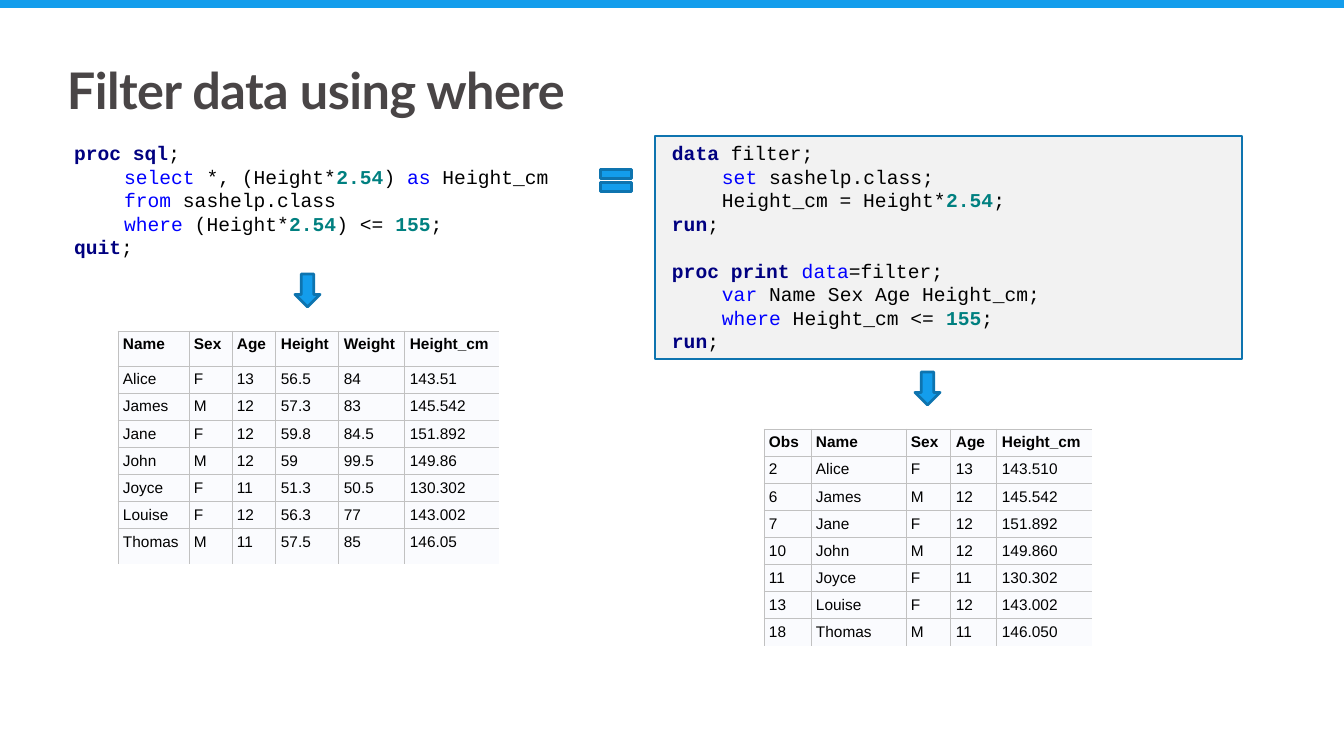
from dataclasses import dataclass

from lxml.etree import SubElement
from pptx import Presentation
from pptx.dml.color import RGBColor
from pptx.enum.shapes import MSO_SHAPE
from pptx.enum.text import MSO_ANCHOR, MSO_AUTO_SIZE
from pptx.oxml import parse_xml
from pptx.oxml.ns import nsdecls, qn
from pptx.util import Pt


@dataclass(frozen=True)
class Theme:
    accent: str = "139DEC"
    outline: str = "0E74AF"
    panel: str = "F2F2F2"
    heading: str = "494546"
    text: str = "000000"
    step: str = "000080"
    keyword: str = "0000FF"
    number: str = "008080"
    cell: str = "FAFBFE"
    grid: str = "C1C1C1"
    heading_font: str = "Lato"
    code_font: str = "Courier New"
    table_font: str = "Arial"
    heading_size: float = 36
    code_size: float = 14
    code_pitch: float = 16.8
    table_size: float = 11
    outline_width: float = 2
    grid_width: float = 0.75


def px(length):
    return round(length * 914400 / 100.8)


class SlideBuilder:
    def __init__(self, slide, theme):
        self.slide = slide
        self.theme = theme

    def add_run(self, paragraph, text, font, size, color, bold=False):
        run = paragraph.add_run()
        run.text = text
        run.font.name = font
        run.font.size = Pt(size)
        run.font.bold = bold
        run.font.color.rgb = RGBColor.from_string(color)
        return run

    def prepare_placeholder(self, index, left, top, width, height, anchor):
        holder = self.slide.placeholders[index]
        holder.left, holder.top, holder.width, holder.height = map(px, (left, top, width, height))
        frame = holder.text_frame
        frame.margin_left = frame.margin_right = frame.margin_top = frame.margin_bottom = 0
        frame.word_wrap = True
        frame.auto_size = MSO_AUTO_SIZE.NONE
        frame.vertical_anchor = anchor
        return frame

    def title(self, text, *box):
        t = self.theme
        paragraph = self.prepare_placeholder(0, *box, MSO_ANCHOR.MIDDLE).paragraphs[0]
        paragraph.alignment = 1
        run = self.add_run(paragraph, text, t.heading_font, t.heading_size, t.heading, True)
        run.font._element.set("spc", "-40")

    def code(self, index, lines, *box):
        """Each line is (indent level, blank lines before, runs of (role, text))."""
        t = self.theme
        frame = self.prepare_placeholder(index, *box, MSO_ANCHOR.TOP)
        for number, (level, gap, runs) in enumerate(lines):
            paragraph = frame.add_paragraph() if number else frame.paragraphs[0]
            paragraph.line_spacing = Pt(t.code_pitch)
            paragraph.space_before = Pt(gap * t.code_pitch)
            paragraph.space_after = Pt(0)
            properties = paragraph._p.get_or_add_pPr()
            properties.set("marL", str(px(50 * level)))
            properties.set("indent", "0")
            SubElement(properties, qn("a:buNone"))
            for role, text in runs:
                self.add_run(paragraph, text, t.code_font, t.code_size,
                             getattr(t, role), role in ("step", "number"))

    def shape(self, kind, left, top, width, height, fill, line=None, rotation=0, at_back=False):
        shape = self.slide.shapes.add_shape(kind, *map(px, (left, top, width, height)))
        shape.shadow.inherit = False
        shape.rotation = rotation
        shape.fill.solid()
        shape.fill.fore_color.rgb = RGBColor.from_string(fill)
        if line:
            shape.line.color.rgb = RGBColor.from_string(line)
            shape.line.width = Pt(self.theme.outline_width)
        else:
            shape.line.fill.background()
        if at_back:
            shape.element.getparent().insert(2, shape.element)

    def set_borders(self, cell, hidden):
        properties = cell._tc.get_or_add_tcPr()
        color = f'<a:solidFill><a:srgbClr val="{self.theme.grid}"/></a:solidFill>'
        for position, side in enumerate("LRTB"):
            paint = "<a:noFill/>" if side in hidden else color
            properties.insert(position, parse_xml(
                f'<a:ln{side} {nsdecls("a")} w="{Pt(self.theme.grid_width)}">{paint}</a:ln{side}>'))

    def table(self, rows, left, top, widths, heights):
        t = self.theme
        table = self.slide.shapes.add_table(
            len(rows), len(widths), px(left), px(top), px(sum(widths)), px(sum(heights))).table
        table.horz_banding = False
        for column, width in zip(table.columns, widths):
            column.width = px(width)
        for r, (values, height) in enumerate(zip(rows, heights)):
            table.rows[r].height = px(height)
            for c, value in enumerate(values):
                cell = table.cell(r, c)
                cell.margin_left = cell.margin_right = px(5)
                cell.margin_top = cell.margin_bottom = px(5)
                cell.vertical_anchor = MSO_ANCHOR.TOP
                cell.fill.solid()
                cell.fill.fore_color.rgb = RGBColor.from_string(t.cell)
                hidden = "R" * (c == len(widths) - 1) + "B" * (r == len(rows) - 1)
                self.set_borders(cell, hidden)
                self.add_run(cell.text_frame.paragraphs[0], value, t.table_font,
                             t.table_size, t.text, r == 0)


# Content
END = ("text", ";")
RUN = [("step", "run"), END]
SQL_STEP = [
    (0, 0, [("step", "proc sql"), END]),
    (1, 0, [("keyword", "select"), ("text", " *, (Height*"), ("number", "2.54"),
            ("text", ") "), ("keyword", "as "), ("text", "Height_cm")]),
    (1, 0, [("keyword", "from "), ("text", "sashelp.class")]),
    (1, 0, [("keyword", "where"), ("text", " (Height*"), ("number", "2.54"),
            ("text", ") <= "), ("number", "155"), END]),
    (0, 0, [("step", "quit"), END]),
]
DATA_STEP = [
    (0, 0, [("step", "data"), ("text", " filter;")]),
    (1, 0, [("keyword", "set "), ("text", "sashelp.class;")]),
    (1, 0, [("text", "Height_cm = Height*"), ("number", "2.54"), END]),
    (0, 0, RUN),
    (0, 1, [("step", "proc print "), ("keyword", "data"), ("text", "=filter;")]),
    (1, 0, [("keyword", "var"), ("text", " Name Sex Age Height_cm;")]),
    (1, 0, [("keyword", "where "), ("text", "Height_cm <= "), ("number", "155"), END]),
    (0, 0, RUN),
]
# Obs, name, sex, age, height, weight, height in cm
PUPILS = [
    ("2", "Alice", "F", "13", "56.5", "84", 143.51),
    ("6", "James", "M", "12", "57.3", "83", 145.542),
    ("7", "Jane", "F", "12", "59.8", "84.5", 151.892),
    ("10", "John", "M", "12", "59", "99.5", 149.86),
    ("11", "Joyce", "F", "11", "51.3", "50.5", 130.302),
    ("13", "Louise", "F", "12", "56.3", "77", 143.002),
    ("18", "Thomas", "M", "11", "57.5", "85", 146.05),
]
sql_result = [("Name", "Sex", "Age", "Height", "Weight", "Height_cm")]
sql_result += [(*pupil[1:6], f"{pupil[6]:g}") for pupil in PUPILS]
print_result = [("Obs", "Name", "Sex", "Age", "Height_cm")]
print_result += [(*pupil[:4], f"{pupil[6]:.3f}") for pupil in PUPILS]

# Slide
deck = Presentation()
deck.slide_width, deck.slide_height = px(1344), px(756)
theme = Theme()
page = SlideBuilder(deck.slides.add_slide(deck.slide_layouts[3]), theme)

# Panel behind the data step, then the top bar
page.shape(MSO_SHAPE.RECTANGLE, 655, 136, 587, 223, theme.panel, theme.outline, at_back=True)
page.shape(MSO_SHAPE.RECTANGLE, 0, 0, 1344, 8, theme.accent, at_back=True)

# Title and the two programs
page.title("Filter data using where", 67, 58, 1210, 63)
page.code(1, SQL_STEP, 74, 141, 520, 120)
page.code(2, DATA_STEP, 672, 141, 560, 215)

# Result tables
page.table(sql_result, 118, 331, (71, 43, 44, 63, 66, 94), (35, *[27] * 6, 35))
page.table(print_result, 764, 429, (47, 95, 45, 46, 95), [27] * 8)

# Arrows to the results and the equals sign between the programs
for arrow_left, arrow_top in ((291, 278), (911, 376)):
    page.shape(MSO_SHAPE.RIGHT_ARROW, arrow_left, arrow_top, 33, 25,
               theme.accent, theme.outline, rotation=90)
page.shape(MSO_SHAPE.MATH_EQUAL, 595, 162, 42, 37, theme.accent, theme.outline)

deck.save("out.pptx")
